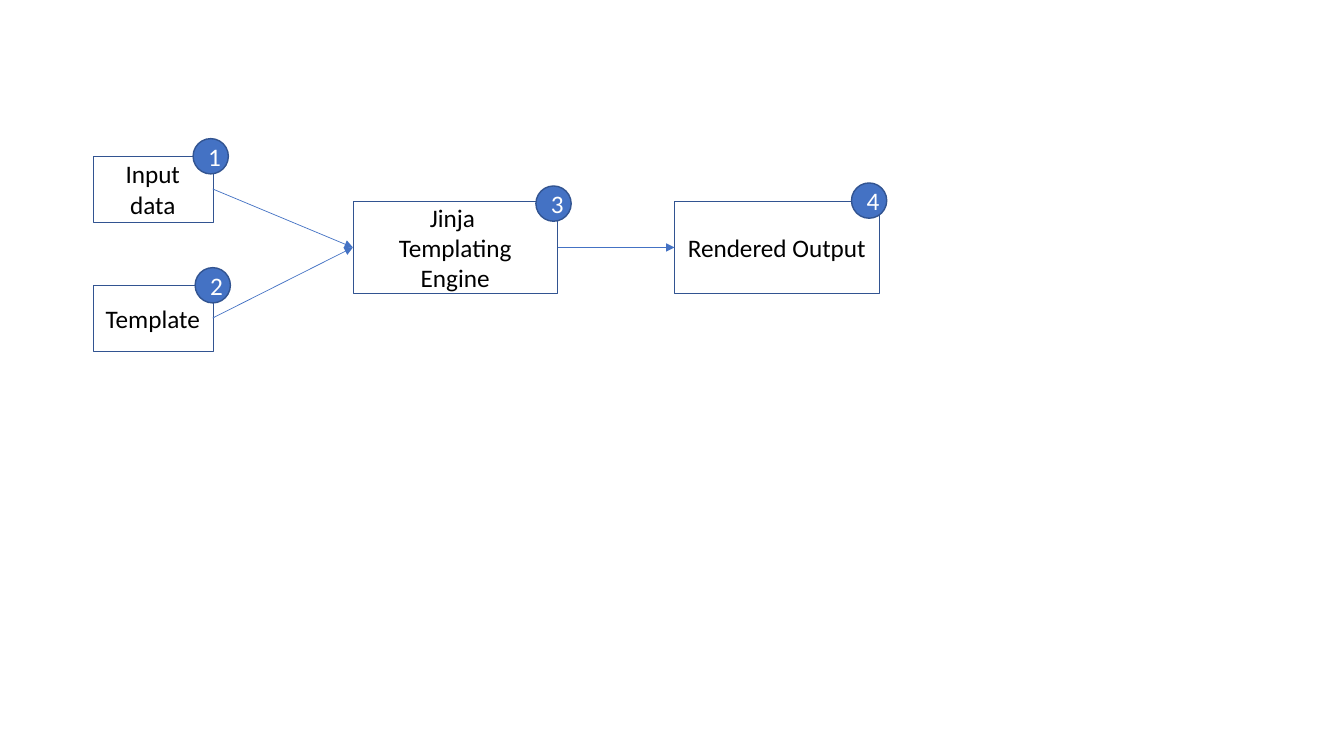
from dataclasses import dataclass

from lxml import etree
from pptx import Presentation
from pptx.dml.color import RGBColor
from pptx.enum.shapes import MSO_CONNECTOR, MSO_SHAPE
from pptx.enum.text import MSO_ANCHOR, PP_ALIGN
from pptx.oxml.ns import qn
from pptx.util import Inches, Pt

RECTANGLE = MSO_SHAPE.RECTANGLE
OVAL = MSO_SHAPE.OVAL
STRAIGHT = MSO_CONNECTOR.STRAIGHT
CENTER = PP_ALIGN.CENTER
MIDDLE = MSO_ANCHOR.MIDDLE
LEFT_SIDE, RIGHT_SIDE = 1, 3
BLANK_LAYOUT = 6

CELL = Inches(1)
COLUMNS, ROWS = 13.33, 7.5
SMALL = (1.19, 0.65)
LARGE = (2.03, 0.91)
BADGE = 0.35


@dataclass(frozen=True)
class Theme:
    font: str = "Calibri"
    size: Pt = Pt(18)
    accent: RGBColor = RGBColor(0x44, 0x72, 0xC4)
    outline: RGBColor = RGBColor(0x32, 0x54, 0x91)
    ink: RGBColor = RGBColor(0, 0, 0)
    paper: RGBColor = RGBColor(0xFF, 0xFF, 0xFF)
    box_line: Pt = Pt(0.25)
    arrow_line: Pt = Pt(0.5)
    badge_line: Pt = Pt(1)


@dataclass(frozen=True)
class Step:
    label: str
    column: float
    row: float
    size: tuple
    badge_shift: tuple


THEME = Theme()
STEPS = [
    Step("Input data", 0.92, 1.55, SMALL, (-0.02, 0)),
    Step("Template", 0.92, 2.83, SMALL, (0, 0)),
    Step("Jinja \nTemplating Engine", 3.5, 2, LARGE, (-0.04, 0.02)),
    Step("Rendered Output", 6.69, 2, LARGE, (-0.1, -0.01)),
]
FLOWS = [(0, 2), (1, 2), (2, 3)]


def add_labelled(slide, kind, place, label, color, line_width):
    shape = slide.shapes.add_shape(kind, *(round(CELL * part) for part in place))
    shape.shadow.inherit = False
    shape.line.color.rgb = THEME.outline
    shape.line.width = line_width
    frame = shape.text_frame
    frame.text = label
    frame.vertical_anchor = MIDDLE
    for paragraph in frame.paragraphs:
        paragraph.alignment = CENTER
        paragraph.font.name = THEME.font
        paragraph.font.size = THEME.size
        paragraph.font.color.rgb = color
    return shape


def add_step(slide, step):
    place = (step.column, step.row, *step.size)
    box = add_labelled(slide, RECTANGLE, place, step.label, THEME.ink, THEME.box_line)
    box.fill.background()
    return box


def add_badge(slide, step, number):
    across, down = step.badge_shift
    left = step.column + step.size[0] - BADGE / 2 + across
    top = step.row - BADGE / 2 + down
    place = (left, top, BADGE, BADGE)
    badge = add_labelled(slide, OVAL, place, str(number), THEME.paper, THEME.badge_line)
    badge.fill.solid()
    badge.fill.fore_color.rgb = THEME.accent


def add_arrow(slide, source, target):
    arrow = slide.shapes.add_connector(STRAIGHT, 0, 0, 0, 0)
    arrow.begin_connect(source, RIGHT_SIDE)
    arrow.end_connect(target, LEFT_SIDE)
    arrow.line.color.rgb = THEME.accent
    arrow.line.width = THEME.arrow_line
    properties = arrow.element.spPr
    etree.SubElement(properties.find(qn("a:ln")), qn("a:tailEnd"), type="triangle")
    etree.SubElement(properties, qn("a:effectLst"))


def build_flow(slide):
    boxes = [add_step(slide, step) for step in STEPS]
    for source, target in FLOWS:
        add_arrow(slide, boxes[source], boxes[target])
    for number, step in enumerate(STEPS, start=1):
        add_badge(slide, step, number)


def main():
    deck = Presentation()
    deck.slide_width = round(CELL * COLUMNS)
    deck.slide_height = round(CELL * ROWS)
    build_flow(deck.slides.add_slide(deck.slide_layouts[BLANK_LAYOUT]))
    deck.save("out.pptx")


if __name__ == "__main__":
    main()
